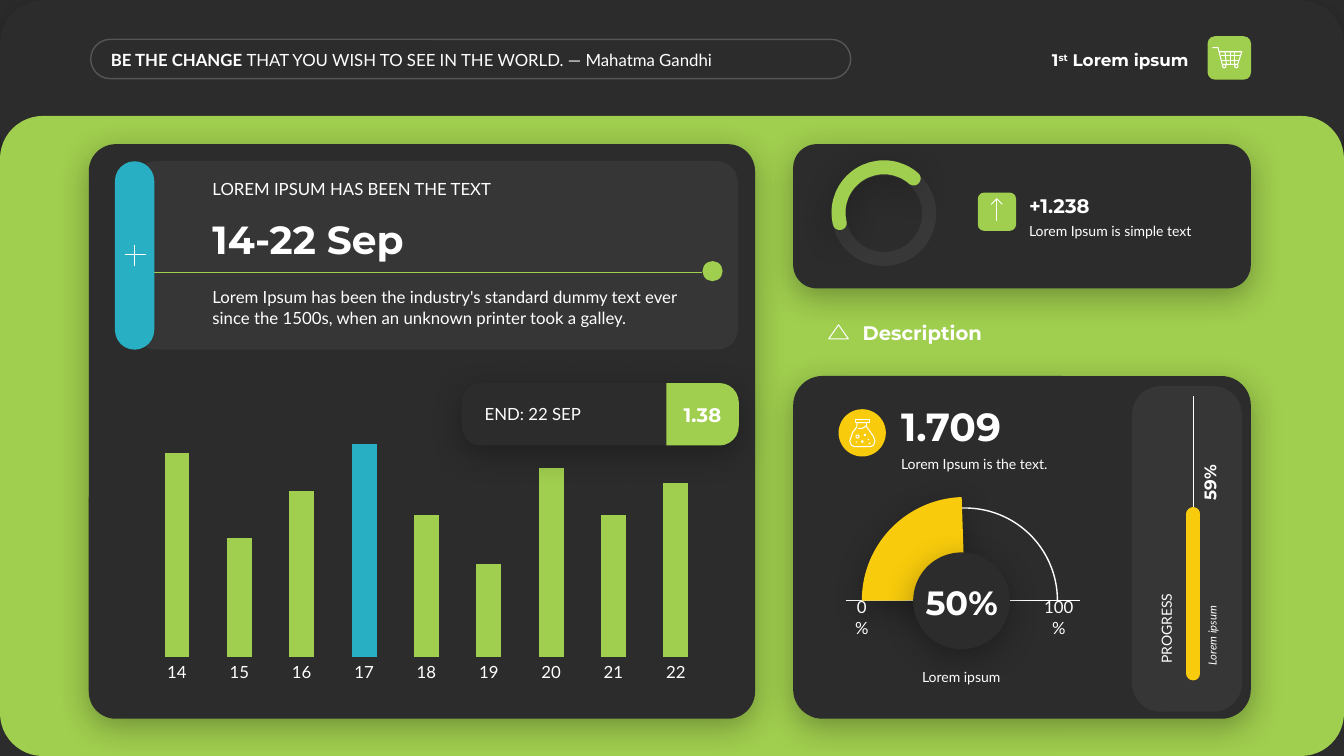
from lxml import etree
from pptx import Presentation
from pptx.chart.data import CategoryChartData
from pptx.dml.color import RGBColor
from pptx.enum.chart import XL_CHART_TYPE, XL_TICK_MARK
from pptx.enum.shapes import MSO_CONNECTOR, MSO_SHAPE
from pptx.enum.text import MSO_ANCHOR, PP_ALIGN
from pptx.oxml.ns import qn
from pptx.util import Pt

ROUND, OVAL, ARC = MSO_SHAPE.ROUNDED_RECTANGLE, MSO_SHAPE.OVAL, MSO_SHAPE.ARC
TAB = MSO_SHAPE.ROUND_2_SAME_RECTANGLE
STRAIGHT = MSO_CONNECTOR.STRAIGHT
COLUMNS, NO_TICK = XL_CHART_TYPE.COLUMN_CLUSTERED, XL_TICK_MARK.NONE
LEFT, CENTER, RIGHT = PP_ALIGN.LEFT, PP_ALIGN.CENTER, PP_ALIGN.RIGHT
TOP, MIDDLE, BOTTOM = MSO_ANCHOR.TOP, MSO_ANCHOR.MIDDLE, MSO_ANCHOR.BOTTOM

COLORS = {"dark": "2C2C2C", "green": "A0CE4E", "teal": "28AFC3",
          "yellow": "F8CB0C", "white": "FFFFFF", "black": "000000"}
LATO, MONT = "Lato", "Montserrat"

# kind, box, fill, corner radius, shadow, opacity
PANELS = [
    (ROUND, (0, 0, 960, 125.3), "dark", 31.5, True, 100),
    (ROUND, (0, 82.8, 960, 457.2), "green", 30.6, False, 100),
    (ROUND, (862.6, 25.9, 31, 31), "green", 5.2, False, 100),
    (ROUND, (63.4, 103, 475.9, 410.4), "dark", 19.3, True, 100),
    (ROUND, (96.5, 115.2, 430.6, 134.6), "white", 14.7, False, 5),
    (ROUND, (566.6, 103, 326.9, 103), "dark", 16.8, True, 100),
    (ROUND, (698.4, 137.5, 27.4, 27.4), "green", 4.6, False, 100),
    (ROUND, (566.6, 268.6, 326.9, 244.8), "dark", 21, True, 100),
    (ROUND, (808.6, 275.8, 78.5, 232.6), "white", 20.5, False, 5),
    (OVAL, (599, 292.3, 33.8, 33.8), "yellow", None, False, 100),
]
OVERLAYS = [
    (OVAL, (501.8, 186.5, 14.4, 14.4), "green", None, False, 100),
    (ROUND, (82.1, 115.2, 28.1, 134.6), "teal", 14.05, False, 100),
    (ROUND, (329.8, 273.6, 197.3, 44.6), "dark", 13.9, True, 100),
    (OVAL, (652.3, 394.6, 69.1, 69.1), "dark", None, True, 100),
]
# kind, box, colour, width, adjustments, opacity
OUTLINES = [
    (ROUND, (64.8, 28.1, 542.9, 28.1), "white", 1, (0.5,), 20),
    (OVAL, (599, 120.2, 64.8, 64.8), "white", 10, (), 5),
    (ARC, (599, 119.5, 64.8, 64.8), "green", 10, (100.01, 186.69), 100),
    (ARC, (623.5, 362.9, 131.8, 131.8), "white", 1, (107.89, 0), 100),
]
# from, to, colour, width
LINES = [
    ((103.7, 194.4), (501.8, 194.4), "green", 0.5),
    ((604.1, 429.1), (771.8, 429.1), "white", 1),
    ((852.5, 481), (852.5, 283), "white", 0.5),
    ((852.5, 481), (852.5, 367.2), "yellow", 10),
]
WEDGE_BOX, WEDGE_ANGLES = (615.6, 355, 147.6, 147.6), (107.89, 160.84)
TAB_BOX = (475.9, 273.6, 51.8, 44.6)

FLASK_X = 615.9
FLASK_LIP = [(5, 300), (5, 302.4)]
FLASK_BODY = [(3.5, 302.4), (3.5, 305.3), (6.5, 309), (8.4, 312), (9.1, 315.4),
              (8.2, 318), (6, 319.2), (4.5, 319.3)]


def mirrored(half):
    """Close a left half, given as offsets from the flask axis, on its right."""
    pts = [(FLASK_X - dx, y) for dx, y in half]
    pts += [(FLASK_X + dx, y) for dx, y in reversed(half)]
    return pts + pts[:1]


ICONS = {
    "cart": [[(866.4, 34.2), (869.8, 34.2), (873.4, 45.7), (884.5, 45.7),
              (886.7, 37.1), (870.7, 37.1)],
             [(871.5, 40), (886, 40)], [(872.5, 42.8), (885.3, 42.8)],
             [(874.6, 37.1), (876, 45.7)], [(878.8, 37.1), (878.8, 45.7)],
             [(882.4, 37.1), (881.6, 45.7)]],
    "plus": [[(96.1, 175), (96.1, 190)], [(88.6, 182.5), (103.6, 182.5)]],
    "arrow": [[(708.1, 145.8), (712.2, 141.8), (716.3, 145.8)],
              [(712.2, 141.8), (712.2, 158.2)]],
    "triangle": [[(599, 231.6), (606.4, 242.2), (591.8, 242.2), (599, 231.6)]],
    "flask": [mirrored(FLASK_LIP), mirrored(FLASK_BODY),
              [(613.1, 306), (616, 305.8), (618.7, 304.2)]],
}
# centre x, centre y, radius
RINGS = [(874.4, 47.2, 1.2), (883.1, 47.2, 1.2), (612.6, 311.8, 1.1)]
DOTS = [(617.8, 310.7, 0.8), (616, 315.4, 0.9), (620.3, 313.9, 0.5),
        (621.1, 316.8, 0.6), (611.6, 315.7, 0.5)]

DAYS = [str(day) for day in range(14, 23)]
VALUES = [96, 56, 78, 100, 67, 44, 89, 67, 82]
PEAK = 3
CHART_BOX = (95.8, 295.9, 417.6, 195.1)
PLOT = {"x": 0.02, "y": 0.11, "w": 0.96, "h": 0.78}

PLAIN, TIGHT, FLUSH, NONE = (7.2, 7.2), (2.9, 2.9), (0, 0), (0, 0, 0)
# box, text, size, font, align, anchor, side insets, rotation
TEXTS = [
    ((76.3, 31.7, 522.7, 21.6), [("BE THE CHANGE ", "b"),
     ("THAT YOU WISH TO SEE IN THE WORLD. ― Mahatma Gandhi", "")],
     12, LATO, LEFT, MIDDLE, TIGHT, 0),
    ((712.1, 31.7, 144, 21.6), [("1", "b"), ("st", "b^"), (" Lorem ipsum", "b")],
     12, MONT, RIGHT, MIDDLE, PLAIN, 0),
    ((144.7, 201.6, 367.2, 36), "Lorem Ipsum has been the industry's standard dummy "
     "text ever since the 1500s, when an unknown printer took a galley.",
     12, LATO, LEFT, TOP, PLAIN, 0),
    ((144.7, 149.8, 367.2, 41), "14-22 Sep", 28, MONT, LEFT, BOTTOM, PLAIN, 0),
    ((144.7, 123.8, 367.2, 21.6), "LOREM IPSUM HAS BEEN THE TEXT",
     12, LATO, LEFT, BOTTOM, PLAIN, 0),
    ((339.1, 285.1, 141.1, 21.6), "END: 22 SEP", 12, LATO, LEFT, MIDDLE, PLAIN, 0),
    ((475.9, 283.7, 51.8, 24.5), "1.38", 14, MONT, CENTER, MIDDLE, TIGHT, 0),
    ((735.1, 155.5, 141.8, 19.4), "Lorem Ipsum is simple text",
     10, LATO, LEFT, TOP, FLUSH, 0),
    ((735.1, 134.6, 141.8, 24.5), "+1.238", 14, MONT, LEFT, BOTTOM, FLUSH, 0),
    ((609.1, 225.4, 237.6, 24.5), "Description", 14, MONT, LEFT, MIDDLE, PLAIN, 0),
    ((636.5, 321.8, 128.9, 19.4), "Lorem Ipsum is the text.",
     10, LATO, LEFT, TOP, PLAIN, 0),
    ((636.5, 283.7, 128.9, 41), "1.709", 28, MONT, LEFT, BOTTOM, PLAIN, 0),
    ((608.4, 434.9, 14.4, 12.2), "0%", 12, LATO, CENTER, MIDDLE, NONE, 0),
    ((743, 434.9, 26.6, 12.2), "100%", 12, LATO, CENTER, MIDDLE, NONE, 0),
    ((599.8, 473.8, 173.5, 19.4), "Lorem ipsum", 10, LATO, CENTER, TOP, PLAIN, 0),
    ((648, 411.8, 77.8, 36), "50%", 24, MONT, CENTER, BOTTOM, PLAIN, 0),
    ((797, 403.2, 138.2, 17.3), [("Lorem ipsum", "i")],
     8, LATO, LEFT, TOP, (5.8, 7.2), 270),
    ((828.7, 318.2, 70.6, 21.6), "59%", 12, MONT, LEFT, BOTTOM, (7.2, 2.9), 270),
    ((763.9, 402.5, 138.2, 19.4), "PROGRESS", 10, LATO, LEFT, BOTTOM, PLAIN, 270),
]

prs = Presentation()
prs.slide_width, prs.slide_height = Pt(960), Pt(540)
s = prs.slides.add_slide(prs.slide_layouts[6])


def pts(values):
    return [Pt(v) for v in values]


def rgb(name):
    return RGBColor.from_string(COLORS[name])


def paint(sp, fill=None, line=None, width=1, shadow=False, opacity=100):
    for part, color in ((sp.fill, fill), (sp.line.fill, line)):
        if color:
            part.solid()
            part.fore_color.rgb = rgb(color)
        else:
            part.background()
    if line:
        sp.line.width = Pt(width)
    if opacity < 100:
        for clr in sp.element.spPr.iter(qn("a:srgbClr")):
            etree.SubElement(clr, qn("a:alpha"), val=str(opacity * 1000))
    sp.shadow.inherit = False
    if shadow:
        effects = sp.element.spPr.find(qn("a:effectLst"))
        outer = etree.SubElement(effects, qn("a:outerShdw"), blurRad=str(Pt(23)),
                                 dist=str(Pt(6)), dir="5400000", algn="t", rotWithShape="0")
        clr = etree.SubElement(outer, qn("a:srgbClr"), val=COLORS["black"])
        etree.SubElement(clr, qn("a:alpha"), val="30000")


def add_shape(kind, box, adjustments=(), **look):
    sp = s.shapes.add_shape(kind, *pts(box))
    for i, value in enumerate(adjustments):
        sp.adjustments[i] = value
    paint(sp, **look)
    return sp


def add_panels(panels):
    for kind, box, fill, radius, shadow, opacity in panels:
        adj = (radius / min(box[2:]),) if radius else ()
        add_shape(kind, box, adj, fill=fill, shadow=shadow, opacity=opacity)


def round_cap(sp):
    sp.element.spPr.find(qn("a:ln")).set("cap", "rnd")


def add_chart():
    data = CategoryChartData()
    data.categories = DAYS
    data.add_series("Series 1", VALUES)
    chart = s.shapes.add_chart(COLUMNS, *pts(CHART_BOX), data).chart
    chart.has_legend = chart.has_title = False
    chart.font.name, chart.font.size = LATO, Pt(12)
    chart.font.color.rgb = rgb("white")
    cat, val = chart.category_axis, chart.value_axis
    cat.major_tick_mark = NO_TICK
    cat.format.line.fill.background()
    val.visible = val.has_major_gridlines = False
    val.minimum_scale, val.maximum_scale = 0, 100
    plot = chart.plots[0]
    plot.gap_width, plot.vary_by_categories = 150, False
    series = plot.series[0]
    for part, color in ((series, "green"), (series.points[PEAK], "teal")):
        part.format.fill.solid()
        part.format.fill.fore_color.rgb = rgb(color)
    area = chart.element.find(".//" + qn("c:plotArea"))
    for old in area.findall(qn("c:layout")):
        area.remove(old)
    layout = etree.Element(qn("c:layout"))
    area.insert(0, layout)
    manual = etree.SubElement(layout, qn("c:manualLayout"))
    settings = {"layoutTarget": "inner", "xMode": "edge", "yMode": "edge", **PLOT}
    for tag, value in settings.items():
        etree.SubElement(manual, qn("c:" + tag), val=str(value))


def add_text(box, text, size, font, align, anchor, insets, rotation):
    tb = s.shapes.add_textbox(*pts(box))
    tb.rotation = rotation
    tf = tb.text_frame
    tf.word_wrap, tf.vertical_anchor = True, anchor
    tf.margin_left, tf.margin_right = pts(insets[:2])
    tf.margin_top = tf.margin_bottom = Pt(0 if insets == NONE else 3.6)
    p = tf.paragraphs[0]
    p.alignment = align
    p.font.name, p.font.size, p.font.color.rgb = font, Pt(size), rgb("white")
    p.font.bold = font == MONT
    for words, style in [(text, "b" * (font == MONT))] if isinstance(text, str) else text:
        r = p.add_run()
        r.text = words
        r.font.name, r.font.size, r.font.color.rgb = font, Pt(size), rgb("white")
        r.font.bold, r.font.italic = "b" in style, "i" in style
        if "^" in style:
            r.font._element.set("baseline", "30000")


s.background.fill.solid()
s.background.fill.fore_color.rgb = rgb("dark")
add_panels(PANELS)
for kind, box, color, width, adj, opacity in OUTLINES:
    glowing = color == "green"
    sp = add_shape(kind, box, adj, line=color, width=width, shadow=glowing, opacity=opacity)
    if glowing:
        round_cap(sp)
for start, end, color, width in LINES:
    ln = s.shapes.add_connector(STRAIGHT, *pts(start + end))
    ln.line.color.rgb, ln.line.width = rgb(color), Pt(width)
    etree.SubElement(ln.element.spPr, qn("a:effectLst"))
    if color == "yellow":
        round_cap(ln)
add_chart()
add_shape(ARC, WEDGE_BOX, WEDGE_ANGLES, fill="yellow", shadow=True)
add_panels(OVERLAYS)
x, y, w, h = TAB_BOX
tab = add_shape(TAB, (x + (w - h) / 2, y + (h - w) / 2, h, w), (0.31, 0), fill="green")
tab.rotation = 90
for strokes in ICONS.values():
    fb = s.shapes.build_freeform(*strokes[0][0], scale=Pt(1))
    for i, stroke in enumerate(strokes):
        if i:
            fb.move_to(*stroke[0])
        fb.add_line_segments(stroke[1:], close=False)
    paint(fb.convert_to_shape(), line="white", width=0.75)
for circles, look in ((RINGS, {"line": "white", "width": 0.75}), (DOTS, {"fill": "white"})):
    for cx, cy, radius in circles:
        add_shape(OVAL, (cx - radius, cy - radius, 2 * radius, 2 * radius), **look)
for item in TEXTS:
    add_text(*item)
prs.save("out.pptx")
